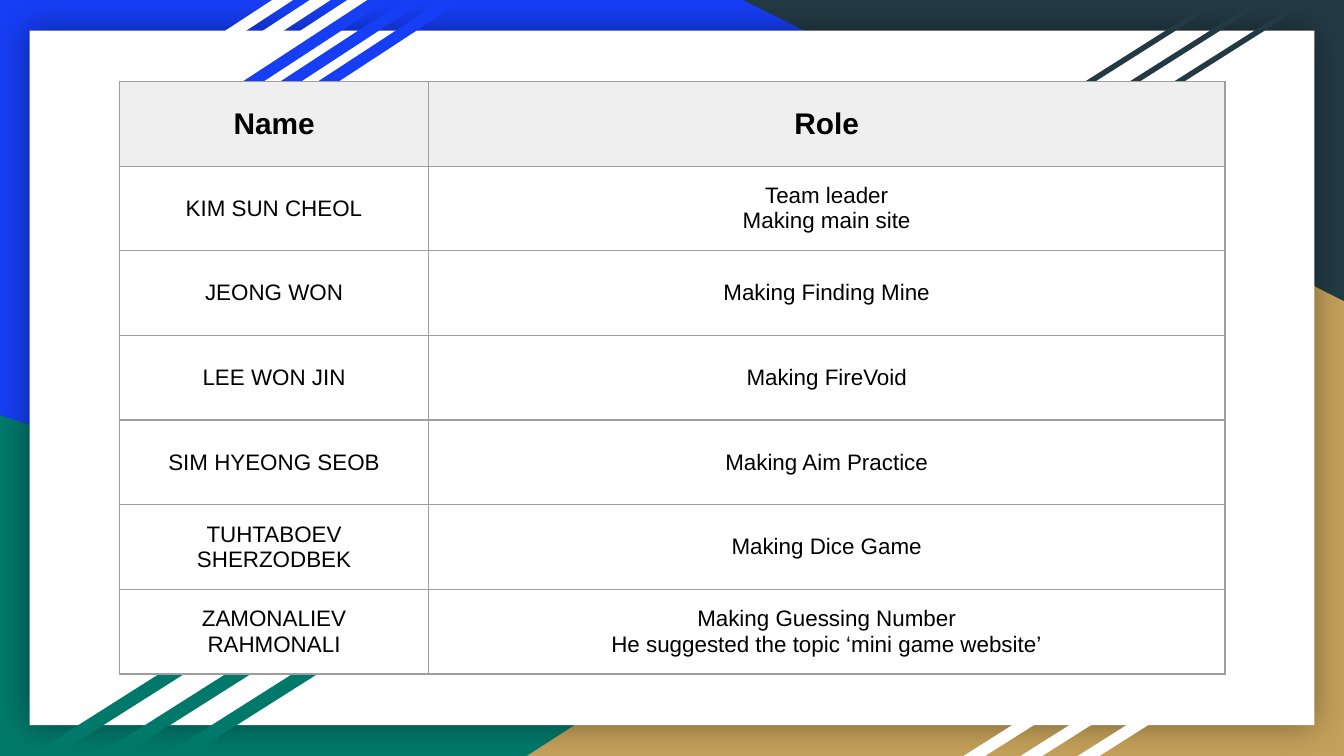
from dataclasses import dataclass

from lxml import etree
from pptx import Presentation
from pptx.dml.color import RGBColor
from pptx.enum.shapes import MSO_SHAPE
from pptx.enum.text import MSO_ANCHOR, PP_ALIGN
from pptx.oxml.ns import qn
from pptx.util import Cm, Pt

RECTANGLE = MSO_SHAPE.RECTANGLE
TRIANGLE = MSO_SHAPE.RIGHT_TRIANGLE
PARALLELOGRAM = MSO_SHAPE.PARALLELOGRAM
MIDDLE = MSO_ANCHOR.MIDDLE
CENTER = PP_ALIGN.CENTER

SLIDE_WIDTH, SLIDE_HEIGHT = 25.4, 14.29


@dataclass(frozen=True)
class Theme:
    blue: str = "163EF5"
    green: str = "00796B"
    gold: str = "C4A15A"
    slate: str = "233A44"
    white: str = "FFFFFF"
    black: str = "000000"
    header_fill: str = "EFEFEF"
    border: str = "9E9E9E"
    font: str = "Arial"
    header_size: float = 16
    body_size: float = 12
    border_width: float = 0.75


class SlideBuilder:
    def __init__(self, slide, theme):
        self.slide = slide
        self.theme = theme

    def background(self, color):
        fill = self.slide.background.fill
        fill.solid()
        fill.fore_color.rgb = RGBColor.from_string(color)

    def shape(self, kind, left, top, width, height, color):
        shape = self.slide.shapes.add_shape(kind, Cm(left), Cm(top), Cm(width), Cm(height))
        shape.shadow.inherit = False
        shape.fill.solid()
        shape.fill.fore_color.rgb = RGBColor.from_string(color)
        shape.line.fill.background()
        return shape

    def triangle(self, left, top, width, height, color, rotation=0, flipped=False):
        shape = self.shape(TRIANGLE, left, top, width, height, color)
        shape.rotation = rotation
        if flipped:
            shape.element.spPr.find(qn("a:xfrm")).set("flipH", "1")

    def card(self, left, top, width, height):
        shape = self.shape(RECTANGLE, left, top, width, height, self.theme.white)
        effects = shape.element.spPr.find(qn("a:effectLst"))
        shadow = etree.SubElement(effects, qn("a:outerShdw"), blurRad=str(Pt(18)), dist="0", dir="0", rotWithShape="0")
        color = etree.SubElement(shadow, qn("a:srgbClr"), val=self.theme.black)
        etree.SubElement(color, qn("a:alpha"), val="40000")

    def stripes(self, left, top, width, height, gap, slant, color, count=3):
        for index in reversed(range(count)):
            shape = self.shape(PARALLELOGRAM, left + index * gap, top, width, height, color)
            shape.adjustments[0] = slant

    def table(self, left, top, column_widths, row_height, rows):
        frame = self.slide.shapes.add_table(
            len(rows), len(column_widths), Cm(left), Cm(top),
            Cm(sum(column_widths)), Cm(row_height * len(rows)))
        table = frame.table
        table.horz_banding = False
        for column, width in zip(table.columns, column_widths):
            column.width = Cm(width)
        for row_index, texts in enumerate(rows):
            table.rows[row_index].height = Cm(row_height)
            for column_index, text in enumerate(texts):
                self.cell(table.cell(row_index, column_index), text, row_index == 0)

    def cell(self, cell, text, is_header):
        theme = self.theme
        cell.text = text
        cell.vertical_anchor = MIDDLE
        cell.margin_left = cell.margin_right = cell.margin_top = cell.margin_bottom = Cm(0.25)
        cell.fill.solid()
        cell.fill.fore_color.rgb = RGBColor.from_string(theme.header_fill if is_header else theme.white)
        for paragraph in cell.text_frame.paragraphs:
            paragraph.alignment = CENTER
            paragraph.font.name = theme.font
            paragraph.font.size = Pt(theme.header_size if is_header else theme.body_size)
            paragraph.font.bold = is_header
            paragraph.font.color.rgb = RGBColor.from_string(theme.black)
        self.borders(cell)

    def borders(self, cell):
        properties = cell._tc.get_or_add_tcPr()
        for index, side in enumerate(("lnL", "lnR", "lnT", "lnB")):
            line = etree.Element(qn(f"a:{side}"), w=str(Pt(self.theme.border_width)))
            fill = etree.SubElement(line, qn("a:solidFill"))
            etree.SubElement(fill, qn("a:srgbClr"), val=self.theme.border)
            properties.insert(index, line)


ROLES = [
    ("Name", "Role"),
    ("KIM SUN CHEOL", "Team leader\nMaking main site"),
    ("JEONG WON", "Making Finding Mine"),
    ("LEE WON JIN", "Making FireVoid"),
    ("SIM HYEONG SEOB", "Making Aim Practice"),
    ("TUHTABOEV SHERZODBEK", "Making Dice Game"),
    ("ZAMONALIEV RAHMONALI", "Making Guessing Number\nHe suggested the topic ‘mini game website’"),
]


def main():
    presentation = Presentation()
    presentation.slide_width = Cm(SLIDE_WIDTH)
    presentation.slide_height = Cm(SLIDE_HEIGHT)
    theme = Theme()
    builder = SlideBuilder(presentation.slides.add_slide(presentation.slide_layouts[6]), theme)

    builder.background(theme.blue)
    builder.triangle(0, 7.85, 20.47, 6.44, theme.green)
    builder.triangle(9.96, 4.32, 15.44, 9.97, theme.gold, flipped=True)
    builder.triangle(14.05, 0, 11.35, 5.69, theme.slate, rotation=180)
    builder.card(0.56, 0.58, SLIDE_WIDTH - 2 * 0.56, SLIDE_HEIGHT - 2 * 0.58)

    builder.stripes(0.71, 0, 4.83, 2.9, 0.71, 1.53, theme.white)
    builder.stripes(2.51, 0, 4.83, 2.9, 0.71, 1.53, theme.blue)
    builder.stripes(19.61, 0.03, 3.48, 2.08, 0.84, 1.58, theme.slate)
    builder.stripes(18.21, 11.72, 4.47, 2.57, 1.08, 1.58, theme.white)
    builder.stripes(0.56, 11.28, 5.23, 3.01, 1.26, 1.58, theme.green)

    builder.table(2.26, 1.54, (5.84, 15.05), 1.6, ROLES)
    presentation.save("out.pptx")


if __name__ == "__main__":
    main()
